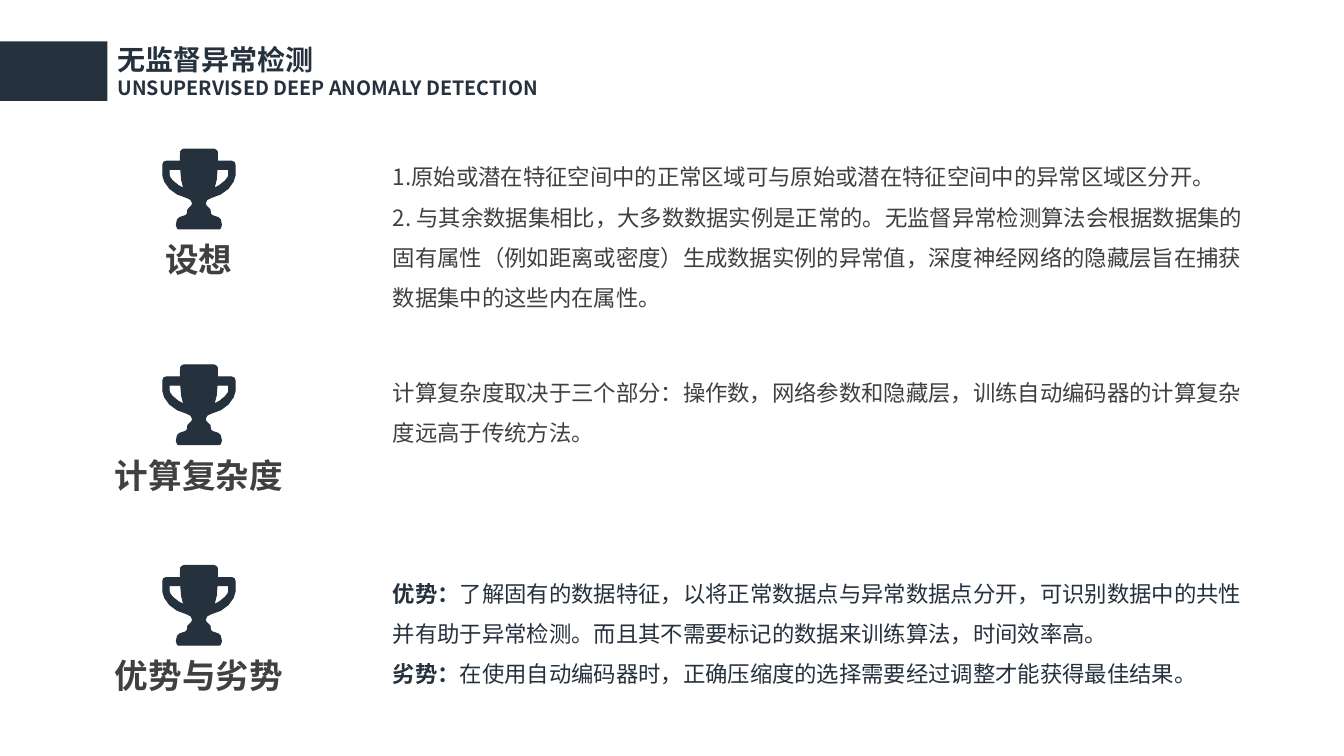
from dataclasses import dataclass

from lxml.etree import SubElement
from pptx import Presentation
from pptx.dml.color import RGBColor
from pptx.enum.shapes import MSO_SHAPE as Preset
from pptx.enum.text import MSO_ANCHOR as Anchor, MSO_AUTO_SIZE as AutoSize, PP_ALIGN as Align
from pptx.oxml.ns import qn
from pptx.util import Inches, Pt

NAVY = "26313E"
GRAY = "404040"
CJK = "Noto Sans CJK SC"
LATIN = "Arial"
WIDTH = Inches(13.333)
HEIGHT = Inches(7.5)

UNITS_PER_INCH = 1000
CUP_HALF = [
    (150, 0), (170, 10), (182, 25), (184, 120), (325, 120), (350, 130), (358, 155),
    (358, 260), (340, 320), (290, 390), (215, 445), (120, 480), (80, 500), (63, 535),
    (70, 560), (110, 600), (115, 640), (130, 658), (190, 678), (213, 700), (223, 750),
    (215, 780), (205, 790),
]
HANDLE_HOLE = [
    (295, 200), (180, 200), (172, 300), (150, 390), (205, 360), (260, 315),
    (288, 280), (295, 260),
]


@dataclass
class Run:
    text: str
    bold: bool = False
    font: str = CJK
    size: float = 16
    color: str = GRAY


@dataclass
class Section:
    top: float
    label: str
    body_height: float
    body: list[list[Run]]


SECTIONS = [
    Section(0.1973, "设想", 0.2227, [
        [Run("1.原始或潜在特征空间中的正常区域可与原始或潜在特征空间中的异常区域区分开。")],
        [Run("2. 与其余数据集相比，大多数数据实例是正常的。无监督异常检测算法会根据数据集的"
             "固有属性（例如距离或密度）生成数据实例的异常值，深度神经网络的隐藏层旨在捕获"
             "数据集中的这些内在属性。")],
    ]),
    Section(0.4827, "计算复杂度", 0.1147, [
        [Run("计算复杂度取决于三个部分：操作数，网络参数和隐藏层，训练自动编码器的计算复杂"
             "度远高于传统方法。")],
    ]),
    Section(0.748, "优势与劣势", 0.1693, [
        [Run("优势：", bold=True, font=LATIN, color=NAVY),
         Run("了解固有的数据特征，以将正常数据点与异常数据点分开，可识别数据中的共性"
             "并有助于异常检测。而且其不需要标记的数据来训练算法，时间效率高。",
             font=LATIN, color=NAVY)],
        [Run("劣势：", bold=True, color=NAVY),
         Run("在使用自动编码器时，正确压缩度的选择需要经过调整才能获得最佳结果。", color=NAVY)],
    ]),
]


def across(share: float) -> int:
    return round(WIDTH * share)


def down(share: float) -> int:
    return round(HEIGHT * share)


def rgb(color: str) -> RGBColor:
    return RGBColor.from_string(color)


def paint(shape, color: str, line_width: float = 0) -> None:
    shape.shadow.inherit = False
    shape.fill.solid()
    shape.fill.fore_color.rgb = rgb(color)
    if line_width:
        shape.line.color.rgb = rgb(color)
        shape.line.width = Pt(line_width)
    else:
        shape.line.fill.background()


def add_text(slide, paragraphs: list[list[Run]], *, left: float, top: float,
             width: float, height: float, align=Align.LEFT, anchor=Anchor.TOP,
             spacing: float = 1.0, grow: bool = True) -> None:
    box = slide.shapes.add_textbox(across(left), down(top), across(width), down(height))
    frame = box.text_frame
    frame.word_wrap = True
    frame.vertical_anchor = anchor
    frame.auto_size = AutoSize.SHAPE_TO_FIT_TEXT if grow else AutoSize.NONE
    for index, runs in enumerate(paragraphs):
        paragraph = frame.add_paragraph() if index else frame.paragraphs[0]
        paragraph.alignment = align
        paragraph.line_spacing = spacing
        for item in runs:
            run = paragraph.add_run()
            run.text = item.text
            run.font.size = Pt(item.size)
            run.font.bold = item.bold
            run.font.color.rgb = rgb(item.color)
            run.font.name = item.font
            SubElement(run.font._element, qn("a:ea")).set("typeface", CJK)


def mirrored(points: list[tuple[int, int]]) -> list[tuple[int, int]]:
    return [(-x, y) for x, y in points]


def add_trophy(slide, center: float, top: float) -> None:
    outline = CUP_HALF + mirrored(CUP_HALF)[::-1]
    builder = slide.shapes.build_freeform(*outline[0], scale=Inches(1) / UNITS_PER_INCH)
    builder.add_line_segments(outline[1:], close=True)
    for hole in (HANDLE_HOLE, mirrored(HANDLE_HOLE)):
        builder.move_to(*hole[0])
        builder.add_line_segments(hole[1:], close=True)
    paint(builder.convert_to_shape(across(center), down(top)), NAVY, line_width=0.75)


def add_header(slide) -> None:
    bar = slide.shapes.add_shape(Preset.RECTANGLE, 0, down(0.0547), across(0.08), down(0.0787))
    paint(bar, NAVY)
    add_text(slide, [
        [Run("无监督异常检测", bold=True, size=20, color=NAVY)],
        [Run("UNSUPERVISED DEEP ANOMALY DETECTION", bold=True, size=14, color=NAVY)],
    ], left=0.08, top=0.0493, width=0.3465, height=0.0893)


def add_section(slide, section: Section) -> None:
    label_left, label_width = 0.031, 0.234
    add_trophy(slide, label_left + label_width / 2, section.top)
    add_text(slide, [[Run(section.label, bold=True, size=24)]],
             left=label_left, top=section.top + 0.1227, width=label_width, height=0.0453,
             align=Align.CENTER, anchor=Anchor.MIDDLE, grow=False)
    add_text(slide, section.body, left=0.285, top=section.top - 0.0053,
             width=0.654, height=section.body_height, spacing=1.5)


def main() -> None:
    presentation = Presentation()
    presentation.slide_width = WIDTH
    presentation.slide_height = HEIGHT
    slide = presentation.slides.add_slide(presentation.slide_layouts[6])
    add_header(slide)
    for section in SECTIONS:
        add_section(slide, section)
    presentation.save("out.pptx")


if __name__ == "__main__":
    main()
